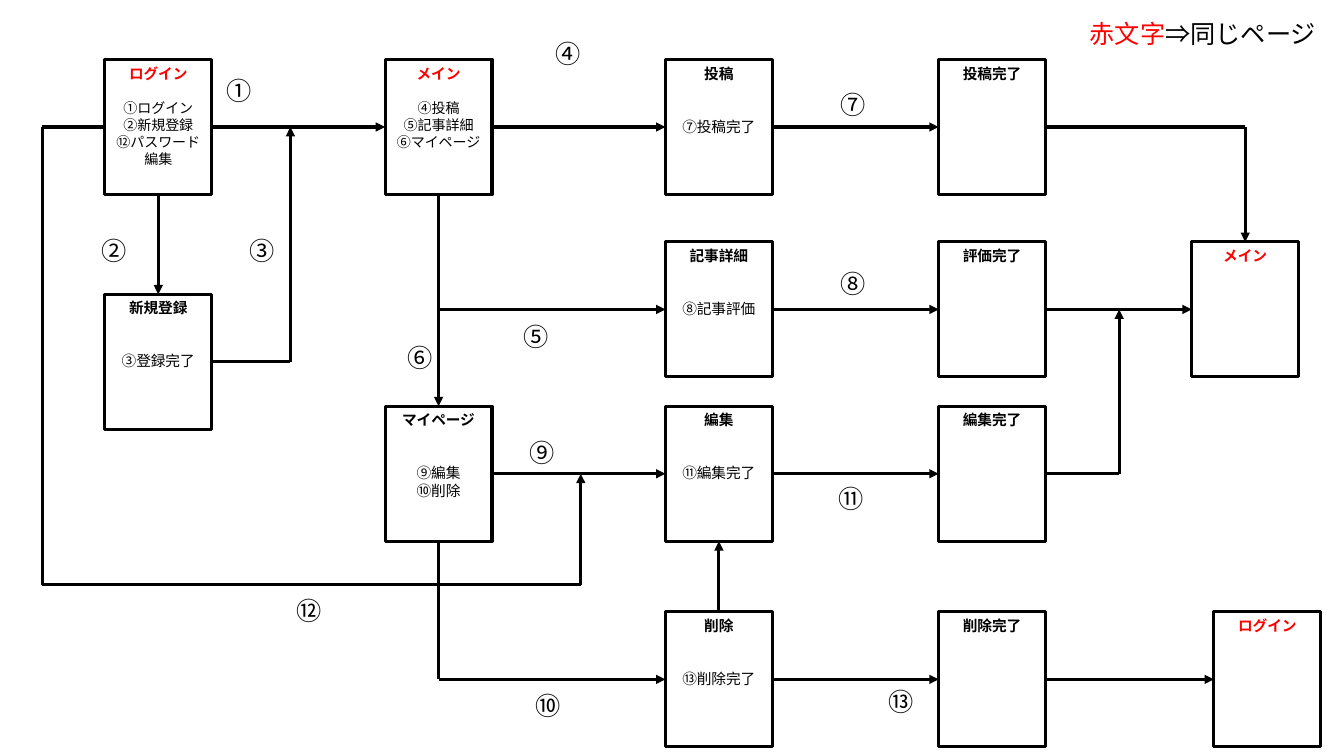
import dataclasses
import pptx
import pptx.dml.color
import pptx.enum.shapes
import pptx.enum.text
import pptx.oxml
import pptx.oxml.ns
import pptx.util

Inches = pptx.util.Inches
Pt = pptx.util.Pt
RGBColor = pptx.dml.color.RGBColor


@dataclasses.dataclass(frozen=True)
class Theme:
    font: str = "Noto Sans CJK JP"
    ink: RGBColor = RGBColor(0, 0, 0)
    same_page: RGBColor = RGBColor(255, 0, 0)
    paper: RGBColor = RGBColor(255, 255, 255)
    screen_size: float = 10.5
    dense_size: float = 10
    label_size: float = 18
    line_width: float = 2.25
    line_pitch: float = 1.2


THEME = Theme()
SLIDE_WIDTH, SLIDE_HEIGHT = 13.33, 7.5
SCREEN_WIDTH, SCREEN_HEIGHT = 1.06, 1.34
LABEL_WIDTH, LABEL_HEIGHT = 0.49, 0.4
COLUMNS = (1.04, 3.82, 6.6, 9.31, 11.82, 12.04)
ROWS = (0.59, 2.4, 2.92, 4.03, 6.07)
TOP, LEFT, BOTTOM, RIGHT = range(4)

SCREENS = {
    "login": (0, 0, "ログイン", ("①ログイン", "②新規登録", "⑫パスワード編集"), True),
    "register": (0, 2, "新規登録", ("③登録完了",), False),
    "main": (1, 0, "メイン", ("④投稿", "⑤記事詳細", "⑥マイページ"), True),
    "my_page": (1, 3, "マイページ", ("⑨編集", "⑩削除"), False),
    "post": (2, 0, "投稿", ("⑦投稿完了",), False),
    "article": (2, 1, "記事詳細", ("⑧記事評価",), False),
    "edit": (2, 3, "編集", ("⑪編集完了",), False),
    "delete": (2, 4, "削除", ("⑬削除完了",), False),
    "post_done": (3, 0, "投稿完了", (), False),
    "rating_done": (3, 1, "評価完了", (), False),
    "edit_done": (3, 3, "編集完了", (), False),
    "delete_done": (3, 4, "削除完了", (), False),
    "main_again": (4, 1, "メイン", (), True),
    "login_again": (5, 4, "ログイン", (), True),
}

LINKS = (
    ("login", RIGHT, "main", LEFT),
    ("login", BOTTOM, "register", TOP),
    ("main", RIGHT, "post", LEFT),
    ("main", BOTTOM, "my_page", TOP),
    ("post", RIGHT, "post_done", LEFT),
    ("article", RIGHT, "rating_done", LEFT),
    ("rating_done", RIGHT, "main_again", LEFT),
    ("my_page", RIGHT, "edit", LEFT),
    ("edit", RIGHT, "edit_done", LEFT),
    ("delete", TOP, "edit", BOTTOM),
    ("delete", RIGHT, "delete_done", LEFT),
    ("delete_done", RIGHT, "login_again", LEFT),
)

LABELS = {
    "①": (2.15, 0.7), "②": (0.91, 2.29), "③": (2.38, 2.29), "④": (5.41, 0.33),
    "⑤": (5.09, 3.14), "⑥": (3.94, 3.35), "⑦": (8.24, 0.84), "⑧": (8.24, 2.61),
    "⑨": (5.15, 4.29), "⑩": (5.21, 6.8), "⑪": (8.22, 4.75), "⑫": (2.84, 5.86),
    "⑬": (8.71, 6.76),
}


def format_run(run, size, color, bold=False):
    run.font.name = THEME.font
    run.font.size = Pt(size)
    run.font.bold = bold
    run.font.color.rgb = color
    east_asian = pptx.oxml.parse_xml(
        f'<a:ea {pptx.oxml.ns.nsdecls("a")} typeface="{THEME.font}"/>')
    run.font._element.find(pptx.oxml.ns.qn("a:latin")).addnext(east_asian)


def add_screen(slide, column, row, title, actions, is_same_page):
    shape = slide.shapes.add_shape(
        pptx.enum.shapes.MSO_SHAPE.RECTANGLE, Inches(COLUMNS[column]), Inches(ROWS[row]),
        Inches(SCREEN_WIDTH), Inches(SCREEN_HEIGHT))
    shape.shadow.inherit = False
    shape.fill.solid()
    shape.fill.fore_color.rgb = THEME.paper
    shape.line.color.rgb = THEME.ink
    shape.line.width = Pt(THEME.line_width)
    frame = shape.text_frame
    frame.word_wrap = True
    frame.vertical_anchor = pptx.enum.text.MSO_ANCHOR.TOP
    frame.text = "\n".join((title, *actions))
    is_dense = len(actions) > 2
    body_size = THEME.dense_size if is_dense else THEME.screen_size
    for index, paragraph in enumerate(frame.paragraphs):
        size = body_size if index else THEME.screen_size
        paragraph.alignment = pptx.enum.text.PP_ALIGN.CENTER
        paragraph.line_spacing = Pt(size * THEME.line_pitch)
        if index == 1:
            gap_lines = 1 if is_dense else 2
            paragraph.space_before = Pt(gap_lines * THEME.screen_size * THEME.line_pitch)
        is_red = is_same_page and index == 0
        format_run(paragraph.runs[0], size, THEME.same_page if is_red else THEME.ink, index == 0)
    return shape


def add_line(slide, start, end, has_arrow):
    connector = slide.shapes.add_connector(
        pptx.enum.shapes.MSO_CONNECTOR.STRAIGHT, *map(Inches, (*start, *end)))
    connector.line.color.rgb = THEME.ink
    connector.line.width = Pt(THEME.line_width)
    namespace = pptx.oxml.ns.nsdecls("a")
    if has_arrow:
        connector.line._get_or_add_ln().append(
            pptx.oxml.parse_xml(f'<a:tailEnd {namespace} type="triangle"/>'))
    connector._element.spPr.append(pptx.oxml.parse_xml(f"<a:effectLst {namespace}/>"))
    return connector


def add_link(slide, source, source_side, target, target_side):
    connector = add_line(slide, (0, 0), (1, 1), True)
    connector.begin_connect(source, source_side)
    connector.end_connect(target, target_side)


def add_route(slide, *points):
    for index, (start, end) in enumerate(zip(points, points[1:])):
        add_line(slide, start, end, index == len(points) - 2)


def side_point(name, side):
    column, row = SCREENS[name][:2]
    across, down = ((0.5, 0), (0, 0.5), (0.5, 1), (1, 0.5))[side]
    return COLUMNS[column] + across * SCREEN_WIDTH, ROWS[row] + down * SCREEN_HEIGHT


def add_label(slide, left, top, width, *parts):
    box = slide.shapes.add_textbox(*map(Inches, (left, top, width, LABEL_HEIGHT)))
    box.text_frame.word_wrap = True
    paragraph = box.text_frame.paragraphs[0]
    paragraph.line_spacing = Pt(THEME.label_size * THEME.line_pitch)
    for text, color in parts:
        run = paragraph.add_run()
        run.text = text
        format_run(run, THEME.label_size, color)


def add_routes(slide):
    flow_y = side_point("login", RIGHT)[1]
    register = side_point("register", RIGHT)
    add_route(slide, register, (2.88, register[1]), (2.88, flow_y))

    main_x = side_point("main", BOTTOM)[0]
    article = side_point("article", LEFT)
    add_route(slide, (main_x, article[1]), article)

    delete = side_point("delete", LEFT)
    add_route(slide, side_point("my_page", BOTTOM), (main_x, delete[1]), delete)

    edit_y = side_point("edit", LEFT)[1]
    add_route(slide, side_point("login", LEFT), (0.42, flow_y), (0.42, 5.8),
              (5.76, 5.8), (5.76, edit_y))

    edit_done = side_point("edit_done", RIGHT)
    add_route(slide, edit_done, (11.1, edit_done[1]), (11.1, article[1]))

    main_again = side_point("main_again", TOP)
    add_route(slide, side_point("post_done", RIGHT), (main_again[0], flow_y), main_again)


def main():
    presentation = pptx.Presentation()
    presentation.slide_width = Inches(SLIDE_WIDTH)
    presentation.slide_height = Inches(SLIDE_HEIGHT)
    slide = presentation.slides.add_slide(presentation.slide_layouts[6])
    screens = {name: add_screen(slide, *details) for name, details in SCREENS.items()}
    for source, source_side, target, target_side in LINKS:
        add_link(slide, screens[source], source_side, screens[target], target_side)
    add_routes(slide)
    for number, (left, top) in LABELS.items():
        add_label(slide, left, top, LABEL_WIDTH, (number, THEME.ink))
    add_label(slide, 10.71, 0.13, 2.6, ("赤文字", THEME.same_page), ("⇒同じページ", THEME.ink))
    presentation.save("out.pptx")


main()
